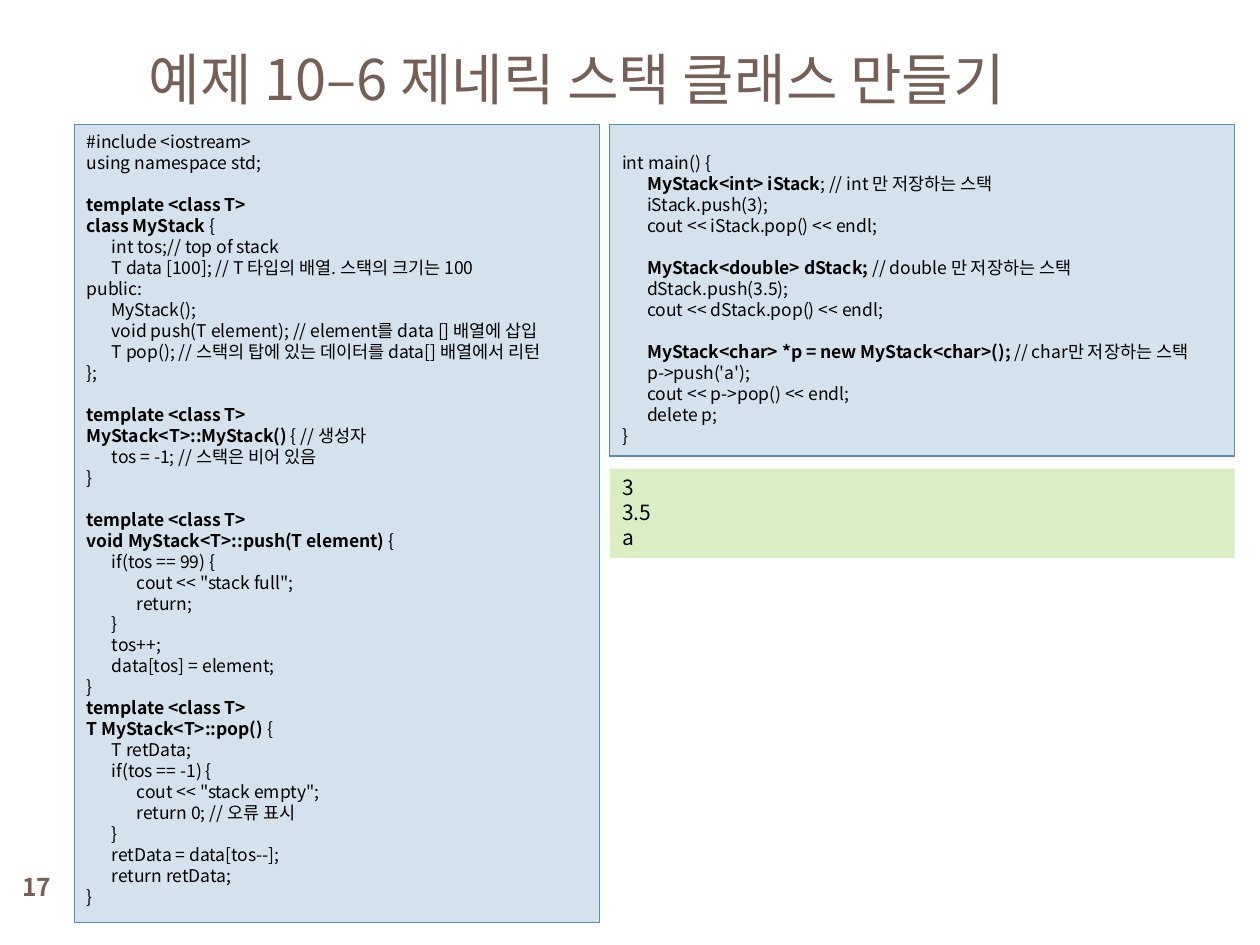
from dataclasses import dataclass
from typing import Optional

from lxml import etree
from pptx import Presentation
from pptx.dml.color import RGBColor
from pptx.enum.shapes import MSO_SHAPE
from pptx.enum.text import MSO_ANCHOR, PP_ALIGN
from pptx.oxml.ns import qn
from pptx.util import Pt

RECTANGLE = MSO_SHAPE.RECTANGLE
TOP, MIDDLE = MSO_ANCHOR.TOP, MSO_ANCHOR.MIDDLE
LEFT, CENTER = PP_ALIGN.LEFT, PP_ALIGN.CENTER


@dataclass(frozen=True)
class Theme:
    font: str = "Noto Sans CJK KR"
    heading: str = "775F55"
    body: str = "000000"
    code_fill: str = "D4E2ED"
    code_line: str = "558BB8"
    output_fill: str = "DAEEC4"
    title_size: float = 32
    number_size: float = 14
    code_size: float = 10
    output_size: float = 12
    inset: float = 3.6
    tab: float = 14.3


THEME = Theme()


@dataclass(frozen=True)
class Block:
    """Text in a box; ** switches bold, a blank line becomes a gap."""
    text: str
    left: float
    top: float
    width: float
    height: float
    size: float
    color: str = THEME.body
    pitch: Optional[float] = None
    fill: Optional[str] = None
    line: Optional[str] = None
    align: PP_ALIGN = LEFT
    anchor: MSO_ANCHOR = TOP


# Code listings
CLASS_CODE = """#include <iostream>
using namespace std;

**template <class T>**
**class MyStack **{
\tint tos;// top of stack
\tT data [100]; // T 타입의 배열. 스택의 크기는 100
public:
\tMyStack();
\tvoid push(T element); // element를 data [] 배열에 삽입
\tT pop(); // 스택의 탑에 있는 데이터를 data[] 배열에서 리턴
};

**template <class T>**
**MyStack<T>::MyStack() **{ // 생성자
\ttos = -1; // 스택은 비어 있음
}

**template <class T>**
**void MyStack<T>::push(T element) **{
\tif(tos == 99) {
\t\tcout << "stack full";
\t\treturn;
\t}
\ttos++;
\tdata[tos] = element;
}
**template <class T>**
**T MyStack<T>::pop() **{
\tT retData;
\tif(tos == -1) {
\t\tcout << "stack empty";
\t\treturn 0; // 오류 표시
\t}
\tretData = data[tos--];
\treturn retData;
}"""

MAIN_CODE = """
int main() {
\t**MyStack<int> iStack**; // int 만 저장하는 스택
\tiStack.push(3);
\tcout << iStack.pop() << endl;

\t**MyStack<double> dStack; **// double 만 저장하는 스택
\tdStack.push(3.5);
\tcout << dStack.pop() << endl;

\t**MyStack<char> *p = new MyStack<char>(); **// char만 저장하는 스택
\tp->push('a');
\tcout << p->pop() << endl;
\tdelete p;
}"""

# Layout: two columns, the program output under the right one
COLUMN_TOP = 71.3
RIGHT, RIGHT_WIDTH = 348.5, 357.1
BLOCKS = [
    Block("17", 0, 491.8, 41.8, 30.2, THEME.number_size, THEME.heading,
          align=CENTER, anchor=MIDDLE),
    Block("예제 10–6 제네릭 스택 클래스 만들기", 77.8, 18, 642.2, 53.3,
          THEME.title_size, THEME.heading, anchor=MIDDLE),
    Block(CLASS_CODE, 42.5, COLUMN_TOP, 300.2, 455.8, THEME.code_size,
          pitch=12, fill=THEME.code_fill, line=THEME.code_line),
    Block(MAIN_CODE, RIGHT, COLUMN_TOP, RIGHT_WIDTH, 189.4, THEME.code_size,
          pitch=12, fill=THEME.code_fill, line=THEME.code_line),
    Block("3\n3.5\na", RIGHT, 267.8, RIGHT_WIDTH, 51.1, THEME.output_size,
          pitch=14.3, fill=THEME.output_fill),
]


def add_tabs(properties) -> None:
    tabs = etree.SubElement(properties, qn("a:tabLst"))
    for level in (1, 2):
        etree.SubElement(tabs, qn("a:tab"), pos=str(Pt(THEME.tab * level)), algn="l")


def write_line(paragraph, text: str, block: Block, gap: float) -> None:
    properties = paragraph._p.get_or_add_pPr()
    if "\t" in text:
        add_tabs(properties)
    paragraph.alignment = block.align
    if block.pitch:
        paragraph.line_spacing = Pt(block.pitch)
    paragraph.space_before = Pt(gap)
    font = paragraph.font
    font.name, font.size = THEME.font, Pt(block.size)
    font.color.rgb = RGBColor.from_string(block.color)
    # Korean letters take the East Asian font
    etree.SubElement(properties.find(qn("a:defRPr")), qn("a:ea"), typeface=THEME.font)
    for index, part in enumerate(text.split("**")):
        if part:
            run = paragraph.add_run()
            run.text = part
            if index % 2:
                run.font.bold = True


def add_block(slide, block: Block) -> None:
    area = [Pt(value) for value in (block.left, block.top, block.width, block.height)]
    if block.fill:
        shape = slide.shapes.add_shape(RECTANGLE, *area)
        shape.shadow.inherit = False
        shape.fill.solid()
        shape.fill.fore_color.rgb = RGBColor.from_string(block.fill)
        if block.line:
            shape.line.color.rgb = RGBColor.from_string(block.line)
            shape.line.width = Pt(0.75)
        else:
            shape.line.fill.background()
    else:
        shape = slide.shapes.add_textbox(*area)
    frame = shape.text_frame
    frame.word_wrap = True
    frame.vertical_anchor = block.anchor

    # A leading blank line goes into the top inset, later ones into space before
    text = block.text.lstrip("\n")
    leading = len(block.text) - len(text)
    frame.margin_top = Pt(THEME.inset + leading * (block.pitch or 0))
    frame.margin_bottom = Pt(THEME.inset)
    gap, paragraph = 0, frame.paragraphs[0]
    for number, line in enumerate(text.split("\n")):
        if not line:
            gap += block.pitch
            continue
        if number:
            paragraph = frame.add_paragraph()
        write_line(paragraph, line, block, gap)
        gap = 0


def main() -> None:
    presentation = Presentation()
    presentation.slide_width, presentation.slide_height = Pt(720), Pt(540)
    slide = presentation.slides.add_slide(presentation.slide_layouts[6])
    for block in BLOCKS:
        # The page number is bold throughout
        add_block(slide, block)
    slide.shapes[0].text_frame.paragraphs[0].font.bold = True
    presentation.save("out.pptx")


if __name__ == "__main__":
    main()
